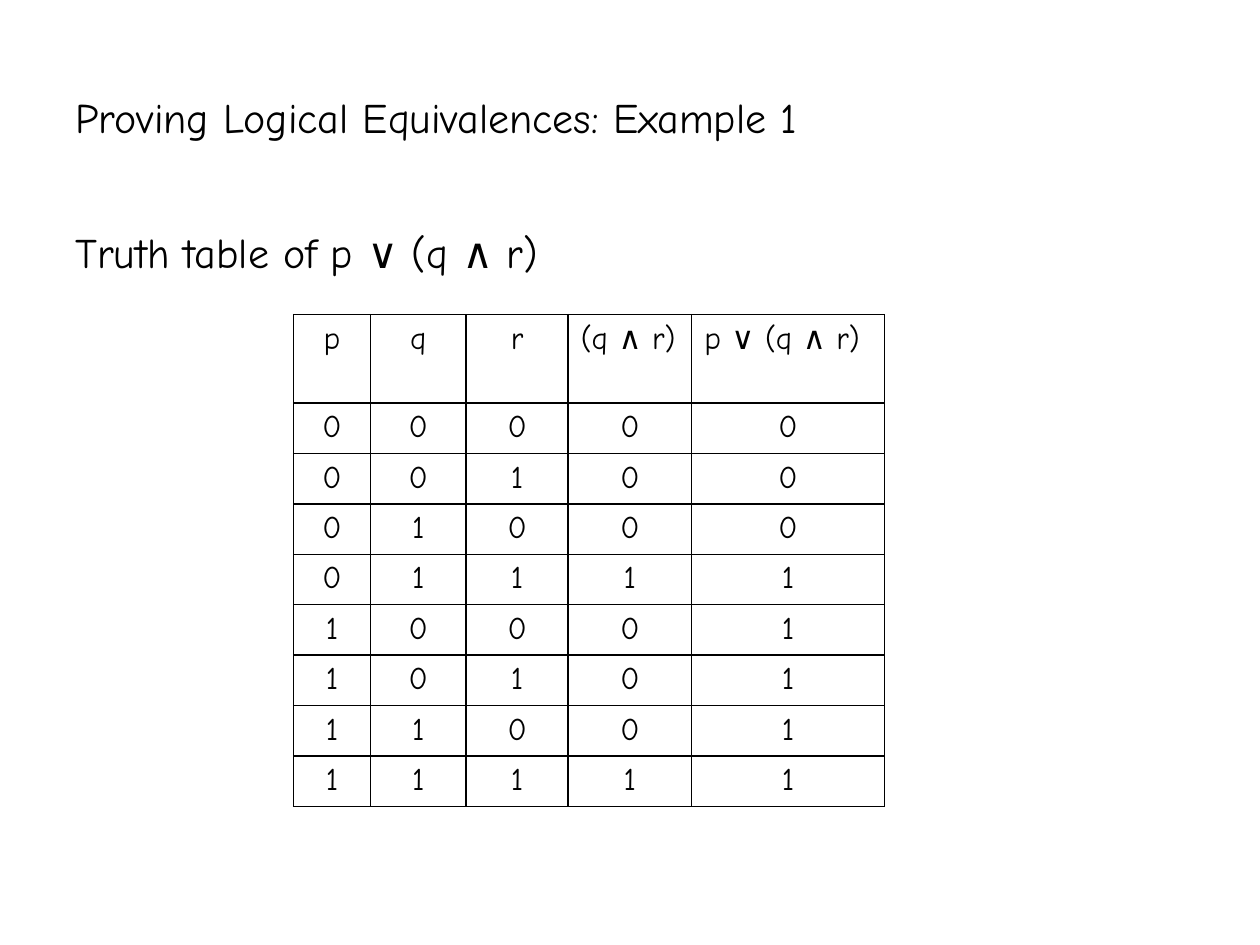
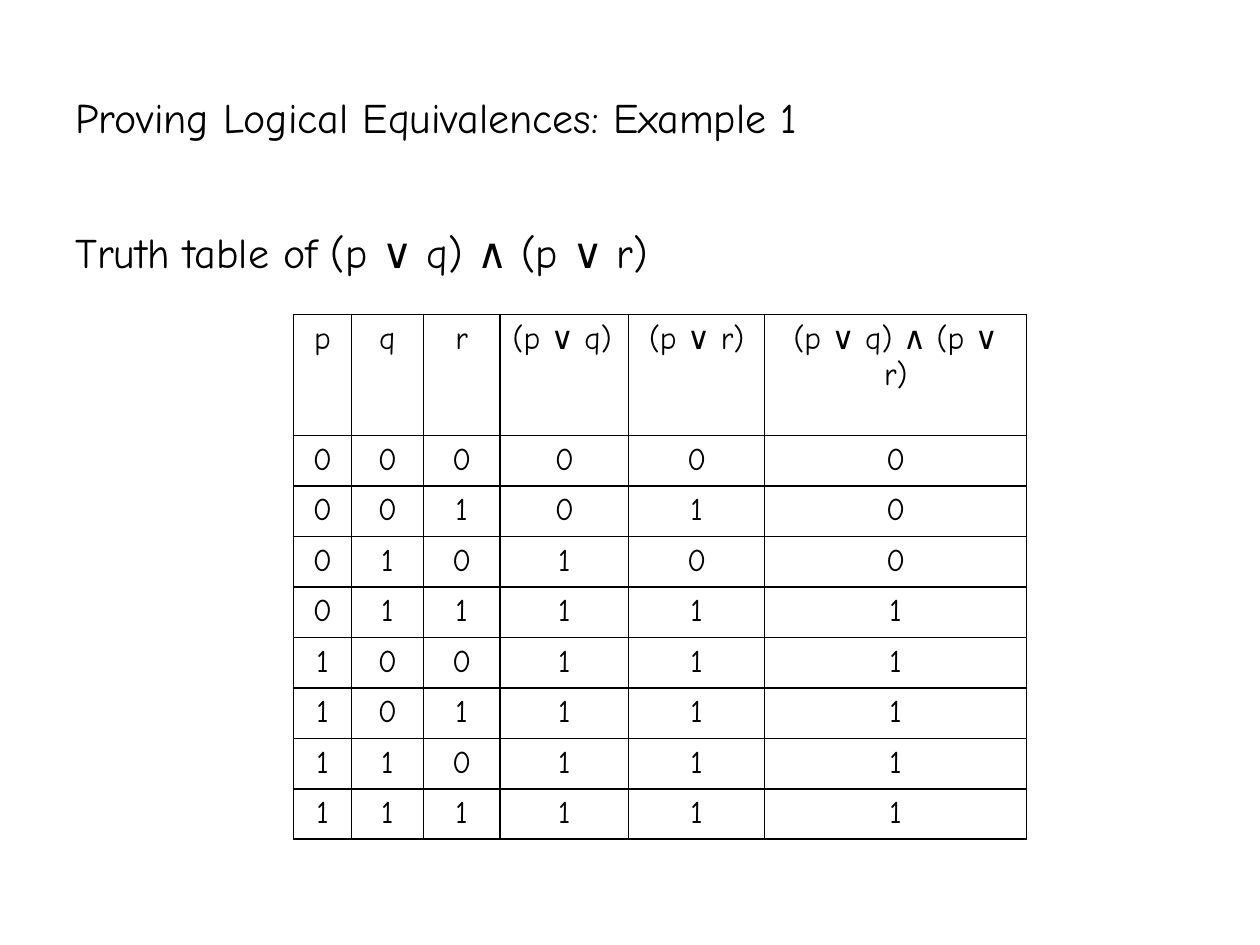
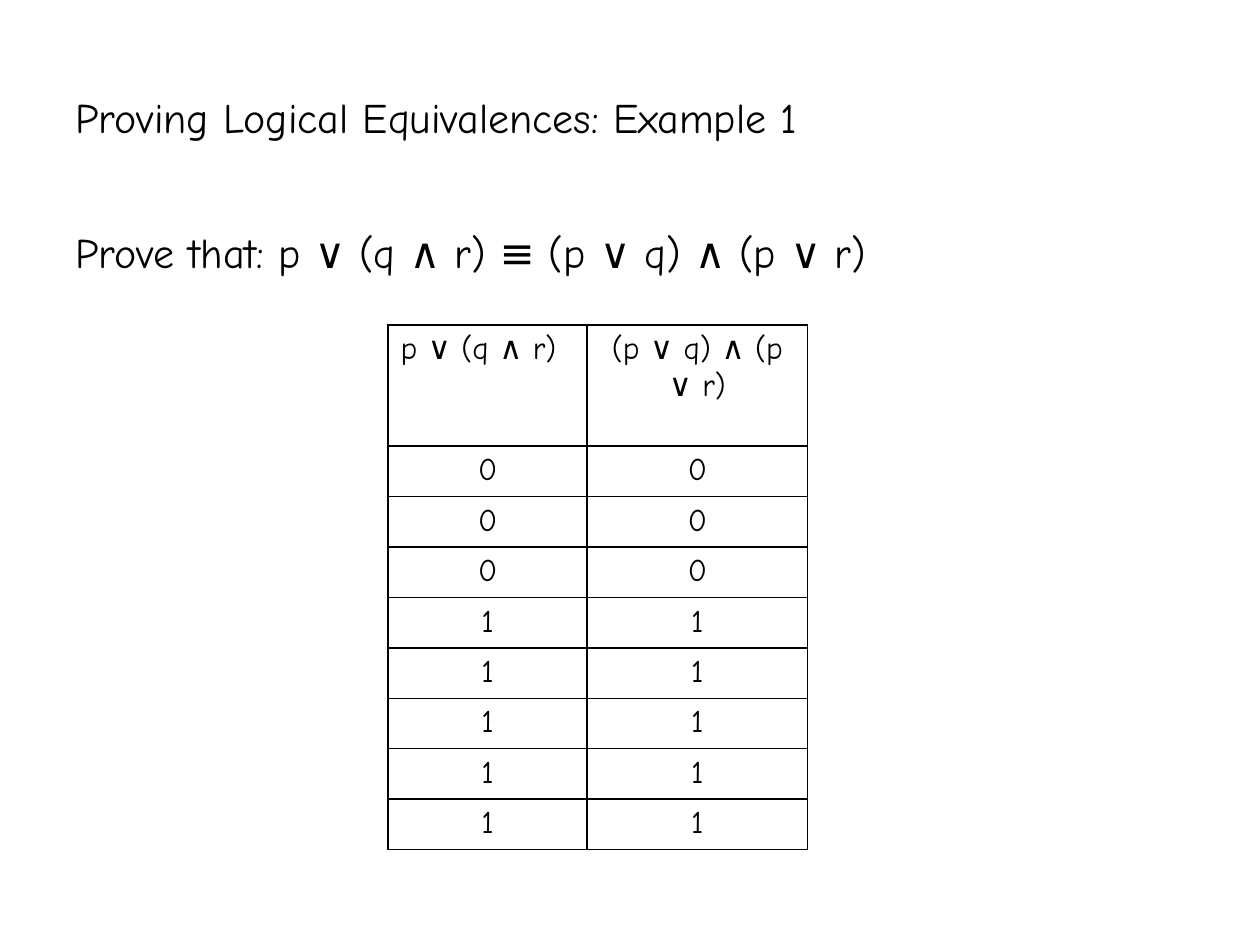
from collections import namedtuple
from itertools import product

from lxml.etree import SubElement
from pptx import Presentation
from pptx.dml.color import RGBColor
from pptx.enum.text import MSO_ANCHOR, PP_ALIGN
from pptx.oxml.ns import qn
from pptx.util import Inches, Pt

Theme = namedtuple("Theme", "font ink heading cell space_before border")
theme = Theme("Comic Neue", "000000", Pt(24), Pt(18), Pt(4.8), Pt(1))
Column = namedtuple("Column", "header width align value")

W, H = 10, 7.5
MARGIN = 0.05 * W
ROW = 0.4
LEFT, CENTER = PP_ALIGN.LEFT, PP_ALIGN.CENTER
TITLE = "Proving Logical Equivalences: Example 1"


def write(tf, text, size, align=LEFT):
    p = tf.paragraphs[0]
    p.text = text
    p.alignment = align
    p.font.name = theme.font
    p.font.size = size
    p.font.color.rgb = RGBColor.from_string(theme.ink)
    return p


def add_borders(cell):
    tcPr = cell._tc.get_or_add_tcPr()
    for i, side in enumerate(("lnL", "lnR", "lnT", "lnB")):
        ln = tcPr.makeelement(qn(f"a:{side}"), {"w": str(theme.border)})
        fill = SubElement(ln, qn("a:solidFill"))
        SubElement(fill, qn("a:srgbClr"), val=theme.ink)
        tcPr.insert(i, ln)


def_p = lambda p, q, r: p
def_q = lambda p, q, r: q
def_r = lambda p, q, r: r
p_or_q = lambda p, q, r: p | q
p_or_r = lambda p, q, r: p | r
q_and_r = lambda p, q, r: q & r
left_side = lambda p, q, r: p | (q & r)
right_side = lambda p, q, r: (p | q) & (p | r)

# Statement, table left and top as shares of the slide, header height in rows, columns
slides = [
    ("Truth table of p ∨ (q ∧ r)", 0.233, 0.333, 1.75, [
        Column("p", 0.61, CENTER, def_p),
        Column("q", 0.76, CENTER, def_q),
        Column("r", 0.81, CENTER, def_r),
        Column("(q ∧ r)", 0.98, LEFT, q_and_r),
        Column("p ∨ (q ∧ r)", 1.53, LEFT, left_side),
    ]),
    ("Truth table of (p ∨ q) ∧ (p ∨ r)", 0.233, 0.333, 2.4, [
        Column("p", 0.46, CENTER, def_p),
        Column("q", 0.57, CENTER, def_q),
        Column("r", 0.61, CENTER, def_r),
        Column("(p ∨ q)", 1.02, LEFT, p_or_q),
        Column("(p ∨ r)", 1.08, CENTER, p_or_r),
        Column("(p ∨ q) ∧ (p ∨ r)", 2.08, CENTER, right_side),
    ]),
    ("Prove that: p ∨ (q ∧ r) ≡ (p ∨ q) ∧ (p ∨ r)", 0.308, 0.344, 2.4, [
        Column("p ∨ (q ∧ r)", 1.58, LEFT, left_side),
        Column("(p ∨ q) ∧ (p ∨ r)", 1.75, CENTER, right_side),
    ]),
]

prs = Presentation()
prs.slide_width, prs.slide_height = Inches(W), Inches(H)
cases = list(product((0, 1), repeat=3))

for statement, left, top, header_rows, columns in slides:
    s = prs.slides.add_slide(prs.slide_layouts[6])

    for text, y, height, anchor, space in (
        (TITLE, 0.04, 0.167, MSO_ANCHOR.MIDDLE, Pt(0)),
        (statement, 0.233, 0.66, MSO_ANCHOR.TOP, theme.space_before),
    ):
        sp = s.shapes.add_textbox(Inches(MARGIN), Inches(y * H),
                                  Inches(W - 2 * MARGIN), Inches(height * H))
        tf = sp.text_frame
        tf.word_wrap = True
        tf.vertical_anchor = anchor
        write(tf, text, theme.heading).space_before = space

    heights = [header_rows * ROW] + [ROW] * len(cases)
    table = s.shapes.add_table(
        len(heights), len(columns), Inches(left * W), Inches(top * H),
        Inches(sum(c.width for c in columns)), Inches(sum(heights))).table
    table.first_row = table.horz_banding = False
    for row, height in zip(table.rows, heights):
        row.height = Inches(height)

    for x, column in enumerate(columns):
        table.columns[x].width = Inches(column.width)
        write(table.cell(0, x).text_frame, column.header, theme.cell, column.align)
        for y, case in enumerate(cases, start=1):
            write(table.cell(y, x).text_frame, str(column.value(*case)), theme.cell, CENTER)

    for cell in table.iter_cells():
        cell.fill.background()
        add_borders(cell)

prs.save("out.pptx")
